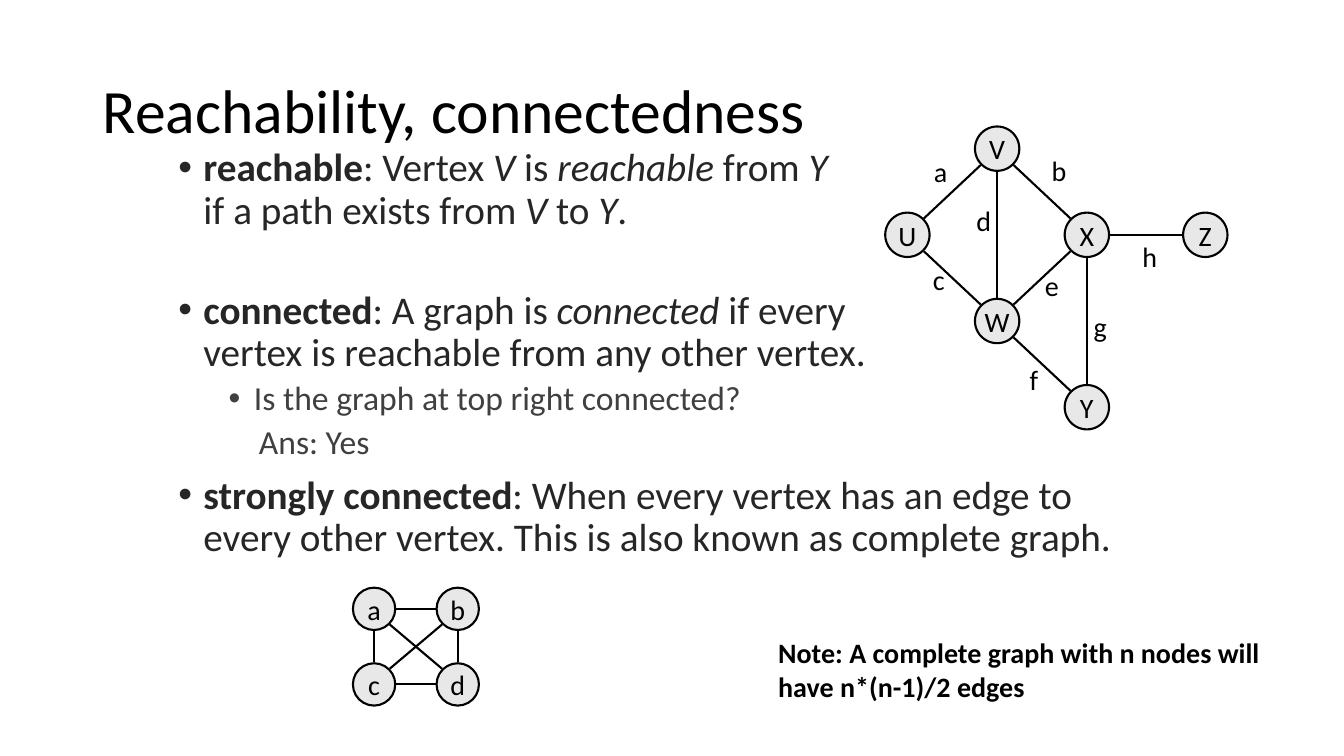
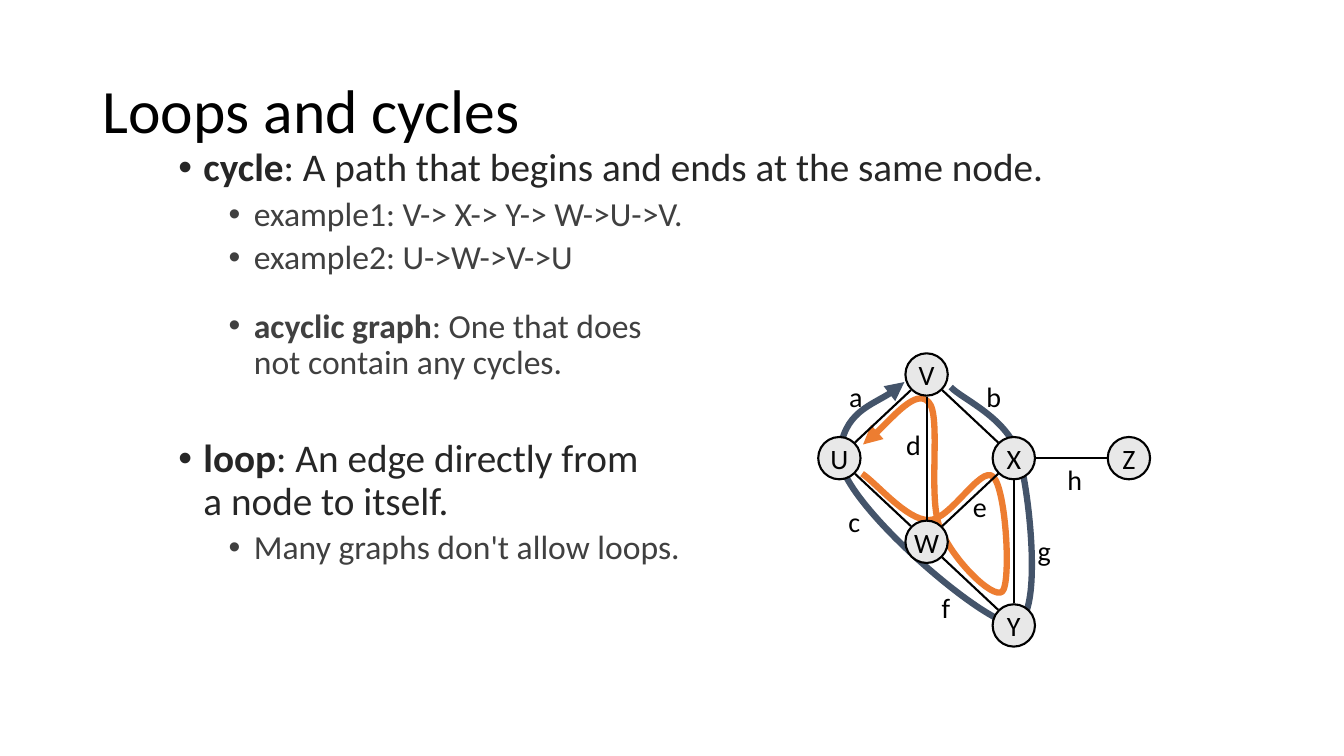
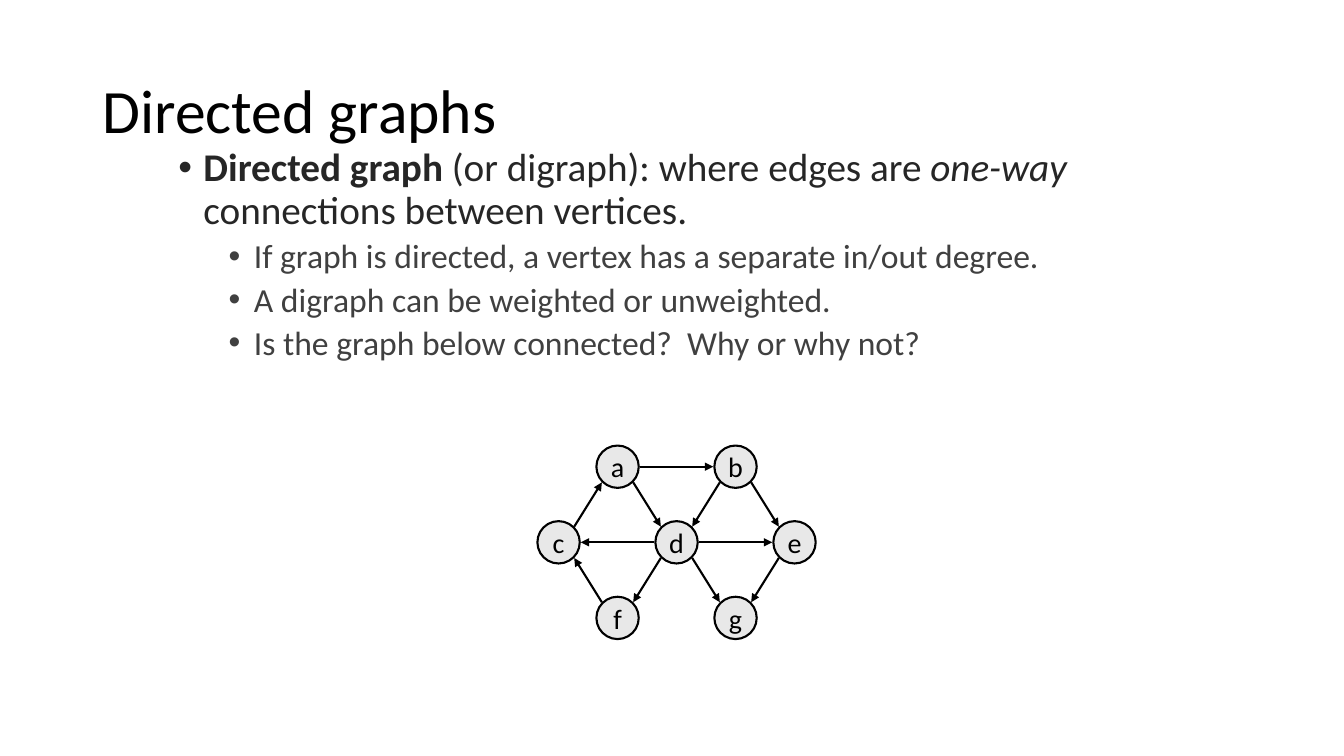
from dataclasses import dataclass
from math import hypot

from lxml import etree
from pptx import Presentation
from pptx.dml.color import RGBColor
from pptx.enum.shapes import MSO_CONNECTOR, MSO_SHAPE
from pptx.enum.text import MSO_ANCHOR, PP_ALIGN
from pptx.oxml.ns import qn
from pptx.util import Inches, Pt

OVAL, LINE = MSO_SHAPE.OVAL, MSO_CONNECTOR.STRAIGHT
MIDDLE, CENTER = MSO_ANCHOR.MIDDLE, PP_ALIGN.CENTER


@dataclass(frozen=True)
class Theme:
    font: str = "Calibri"
    ink: str = "000000"
    node: str = "E8E8E8"
    navy: str = "44546A"
    orange: str = "ED7D31"
    title: int = 44
    small: int = 20
    edge: float = 1.5
    trail: float = 4.5


theme = Theme()

# Body levels: type size, colour, left margin, hanging indent, space before
levels = {
    "main": (28, "262626", 0.25, -0.25, 10),
    "sub": (24, "404040", 0.75, -0.25, 5),
    "answer": (24, "404040", 0.8, 0, 5),
}


def write(para, text, size, color=theme.ink, **more):
    """Add text to a paragraph as runs, with a line break at each newline."""
    for row, line in enumerate(text.split("\n")):
        if row:
            para.add_line_break()
        if line:
            font = para.add_run().font
            para.runs[-1].text = line
            font.color.rgb = RGBColor.from_string(color)
            looks = {"name": theme.font, "size": Pt(size), **more}
            for key, value in looks.items():
                setattr(font, key, value)


def stroke(shape, color, width, arrow=False):
    """Give a shape or connector a flat outline, with an arrowhead if asked."""
    shape.line.color.rgb = RGBColor.from_string(color)
    shape.line.width = Pt(width)
    if arrow:
        etree.SubElement(shape.line._get_or_add_ln(), qn("a:tailEnd"), type="triangle")
    if shape._element.spPr.find(qn("a:effectLst")) is None:
        etree.SubElement(shape._element.spPr, qn("a:effectLst"))


# Nodes and labels are (column, row) on the graph's own grid
web = {"V": (1, 0), "U": (0, 1), "X": (2, 1), "W": (1, 2), "Z": (3.32, 1), "Y": (2, 3)}
links = "VU UW WX XZ VX VW WY XY"
tags = {
    "a": (0.37, 0.26), "b": (1.69, 0.25), "c": (0.35, 1.51), "d": (0.85, 0.83),
    "e": (1.61, 1.58), "f": (1.41, 2.68), "g": (2.15, 2.06), "h": (2.7, 1.25),
}
wide = {"a": (0.19, 0.26), "b": (1.77, 0.26), "c": (0.17, 1.76), "f": (1.22, 2.78), "g": (2.35, 2.1)}
square = {"a": (0, 0), "b": (1, 0), "c": (0, 1), "d": (1, 1)}
hexa = {"a": (1, 0), "b": (3, 0), "c": (0, 1), "d": (2, 1), "e": (4, 1), "f": (1, 2), "g": (3, 2)}

# Trails are a start point, then three points for each curve, in inches
outer = [
    (9.43, 3.84), (9.54, 3.96), (10.01, 4.15), (10.11, 4.54), (10.22, 4.93),
    (10.35, 6.2), (10.05, 6.19), (9.75, 6.19), (8.29, 4.94), (8.33, 4.51),
    (8.36, 4.09), (8.84, 3.94), (8.97, 3.79),
]
inner = [
    (8.55, 4.7), (8.69, 4.79), (8.99, 5.16), (9.21, 5.16), (9.42, 5.17), (9.73, 4.61),
    (9.85, 4.73), (9.98, 4.85), (10.03, 5.79), (9.94, 5.87), (9.85, 5.95), (9.44, 5.55),
    (9.32, 5.23), (9.2, 4.92), (9.34, 4.12), (9.21, 3.99), (9.09, 3.85), (8.67, 4.34),
    (8.56, 4.41),
]

# Body rows: level, extra space before, bold term, text with _italics_
pages = [
    {
        "title": "Reachability, connectedness",
        "body": [
            ("main", 0, "reachable", ": Vertex _V_ is _reachable _from _Y_\nif a path exists from _V_ to _Y_."),
            ("main", 31, "connected",
             ": A graph is _connected_ if every\nvertex is reachable from any other vertex."),
            ("sub", 0, "", "Is the graph at top right connected?"),
            ("answer", 0, "", "Ans: Yes"),
            ("main", 0, "strongly connected",
             ": When every vertex has an edge to every other vertex. "
             "This is also known as complete graph."),
        ],
        "graphs": [
            dict(at=(9, 1.475), step=(0.89, 0.855), size=0.44, nodes=web, edges=links, labels=tags),
            dict(at=(3.71, 6.04), step=(0.83, 0.75), size=0.42, nodes=square, edges="ab ac ad bc bd cd"),
        ],
        "note": "Note: A complete graph with n nodes will have n*(n-1)/2 edges",
    },
    {
        "title": "Loops and cycles",
        "body": [
            ("main", 0, "cycle", ": A path that begins and ends at the same node."),
            ("sub", 0, "", "example1: V-> X-> Y-> W->U->V."),
            ("sub", 0, "", "example2: U->W->V->U"),
            ("sub", 18, "acyclic graph", ": One that does\nnot contain any cycles."),
            ("main", 31, "loop", ": An edge directly from\na node to itself."),
            ("sub", 0, "", "Many graphs don't allow loops."),
        ],
        "trails": [(theme.navy, outer), (theme.orange, inner)],
        "graphs": [
            dict(at=(8.325, 3.715), step=(0.865, 0.83), size=0.42, nodes=web, edges=links,
                 labels=tags | wide),
        ],
    },
    {
        "title": "Directed graphs",
        "body": [
            ("main", 0, "Directed graph ",
             "(or digraph): where edges are _one-way_ connections between vertices."),
            ("sub", 0, "", "If graph is directed, a vertex has a separate in/out degree."),
            ("sub", 0, "", "A digraph can be weighted or unweighted."),
            ("sub", 0, "", "Is the graph below connected?  Why or why not?"),
        ],
        "graphs": [
            dict(at=(5.54, 4.63), step=(0.585, 0.75), size=0.42, nodes=hexa, arrow=True,
                 edges="ca ab ad bd be de dg eg df fc dc"),
        ],
    },
]

deck = Presentation()
deck.slide_width, deck.slide_height = Inches(13.33), Inches(7.5)

for page in pages:
    shapes = deck.slides.add_slide(deck.slide_layouts[6]).shapes

    frame = shapes.add_textbox(*map(Inches, (0.92, 0.4, 11.5, 1.45))).text_frame
    frame.word_wrap, frame.vertical_anchor = True, MIDDLE
    frame.paragraphs[0].line_spacing = 0.9
    write(frame.paragraphs[0], page["title"], theme.title)

    frame = shapes.add_textbox(*map(Inches, (1.67, 1.42, 10, 6.08))).text_frame
    frame.word_wrap = True
    for row, (level, extra, term, text) in enumerate(page["body"]):
        size, color, margin, hang, gap = levels[level]
        para = frame.add_paragraph() if row else frame.paragraphs[0]
        props = para._p.get_or_add_pPr()
        props.set("marL", str(Inches(margin)))
        props.set("indent", str(Inches(hang)))
        if hang:
            etree.SubElement(props, qn("a:buFont"), typeface="Arial")
            etree.SubElement(props, qn("a:buChar"), char="•")
        para.line_spacing = 0.9
        para.space_before = Pt(gap + extra if row else 0)
        write(para, term, size, color, bold=True)
        for turn, part in enumerate(text.split("_")):
            write(para, part, size, color, italic=turn % 2 == 1)

    for color, points in page.get("trails", []):
        start, *rest = [(Inches(x), Inches(y)) for x, y in points]
        pen = shapes.build_freeform(*start)
        pen.add_line_segments(rest, close=False)
        trail = pen.convert_to_shape()
        trail.fill.background()
        stroke(trail, color, theme.trail, arrow=True)
        legs = trail._element.findall(".//" + qn("a:lnTo"))
        for first, *others in zip(legs[::3], legs[1::3], legs[2::3]):
            first.tag = qn("a:cubicBezTo")
            for leg in others:
                first.append(leg[0])
                leg.getparent().remove(leg)

    for graph in page["graphs"]:
        (left, top), (wide_step, high_step) = graph["at"], graph["step"]
        size, nodes = graph["size"], graph["nodes"]
        group = shapes.add_group_shape().shapes

        # Edges meet each node at the nearest of its eight compass points
        for one, two in graph["edges"].split():
            (c1, r1), (c2, r2) = nodes[one], nodes[two]
            dx, dy = (c2 > c1) - (c2 < c1), (r2 > r1) - (r2 < r1)
            reach = (size / 2 + 0.01) / hypot(dx, dy)
            ends = (
                left + c1 * wide_step + dx * reach, top + r1 * high_step + dy * reach,
                left + c2 * wide_step - dx * reach, top + r2 * high_step - dy * reach,
            )
            edge = group.add_connector(LINE, *map(Inches, ends))
            stroke(edge, theme.ink, theme.edge, graph.get("arrow", False))

        marks = [(*item, True) for item in nodes.items()]
        marks += [(*item, False) for item in graph.get("labels", {}).items()]
        for name, (col, row), ring in marks:
            x, y = left + col * wide_step - size / 2, top + row * high_step - size / 2
            box = [Inches(v) for v in (x, y, size, size)]
            if ring:
                mark = group.add_shape(OVAL, *box)
                mark.shadow.inherit = False
                mark.fill.solid()
                mark.fill.fore_color.rgb = RGBColor.from_string(theme.node)
                stroke(mark, theme.ink, theme.edge)
            else:
                mark = group.add_textbox(*box)
            frame = mark.text_frame
            form = dict(word_wrap=False, vertical_anchor=MIDDLE, margin_left=0, margin_right=0)
            for key, value in form.items():
                setattr(frame, key, value)
            frame.paragraphs[0].alignment = CENTER
            write(frame.paragraphs[0], name, theme.small)

    if "note" in page:
        frame = shapes.add_textbox(*map(Inches, (7.62, 6.26, 5.1, 0.77))).text_frame
        frame.word_wrap = True
        write(frame.paragraphs[0], page["note"], theme.small, bold=True)

deck.save("out.pptx")
